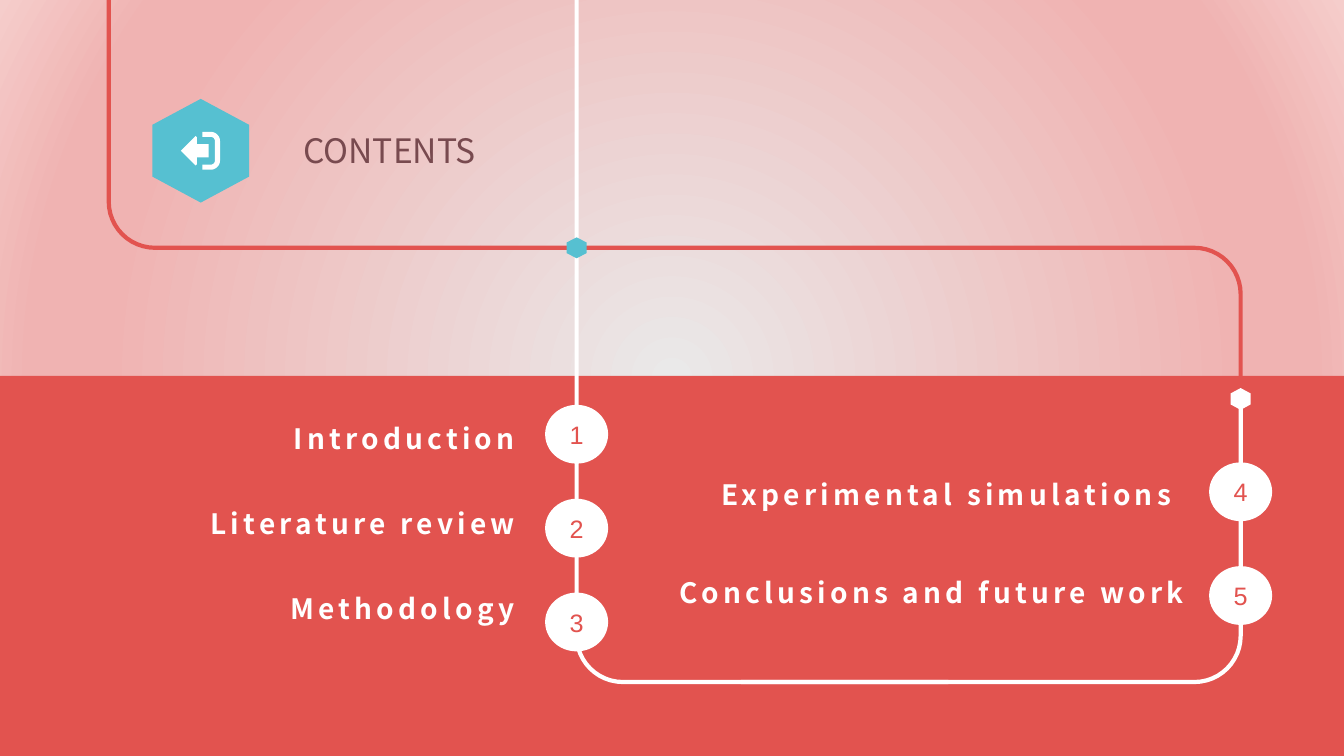
from math import cos, pi, sin

from pptx import Presentation
from pptx.dml.color import RGBColor
from pptx.enum.shapes import MSO_SHAPE
from pptx.enum.text import MSO_ANCHOR, MSO_AUTO_SIZE, PP_ALIGN
from pptx.oxml import parse_xml
from pptx.oxml.ns import nsdecls, qn
from pptx.util import Inches, Pt

COLUMNS, ROWS = 32, 18
CELL = Inches(7.5) // ROWS
RED = RGBColor(0xE2, 0x53, 0x4F)
WHITE = RGBColor(0xFF, 0xFF, 0xFF)
TEAL = RGBColor(0x56, 0xC0, 0xD1)
BROWN = RGBColor(0x78, 0x4A, 0x4F)
GLOW = [(0, RGBColor(0xEA, 0xE9, 0xE9)), (74, RGBColor(0xF0, 0xB3, 0xB2)),
        (83, RGBColor(0xF0, 0xB3, 0xB2)), (100, RGBColor(0xF5, 0xCD, 0xCB))]
TEXT_FONT, NUMBER_FONT = "Noto Sans CJK SC", "Arial"
TOPIC_LINE = 29  # points taken by one line of a topic


def cells(count):
    return round(count * CELL)


def elbow(start, corner, end, radius=1.1, width=0.1):
    """Outline of a band that runs start - corner - end with a rounded bend."""
    def toward(point):
        steps = [b - a for a, b in zip(corner, point)]
        length = abs(steps[0]) + abs(steps[1])
        return [step / length for step in steps]

    first, last = toward(start), toward(end)

    def edge(shift):
        reach = radius + shift
        yield tuple(s - shift * v for s, v in zip(start, last))
        for step in range(13):
            angle = step * pi / 24
            yield tuple(c + (radius - reach * sin(angle)) * u
                        + (radius - reach * cos(angle)) * v
                        for c, u, v in zip(corner, first, last))
        yield tuple(e - shift * u for e, u in zip(end, first))

    return [*edge(width / 2), *reversed(list(edge(-width / 2)))]


class SlideBuilder:
    """Draws on one slide; all lengths are cells of a 32 by 18 grid."""

    def __init__(self, page):
        self.page = page

    def background(self, stops):
        self.page.background.fill.solid()
        properties = self.page.element.find(".//" + qn("p:bgPr"))
        marks = "".join(f'<a:gs pos="{share * 1000}"><a:srgbClr val="{color}"/></a:gs>'
                        for share, color in stops)
        gradient = parse_xml(
            f'<a:gradFill {nsdecls("a")} rotWithShape="1"><a:gsLst>{marks}</a:gsLst>'
            '<a:path path="circle"><a:fillToRect l="50000" t="50000" r="50000" b="50000"/>'
            '</a:path></a:gradFill>')
        properties.replace(properties.find(qn("a:solidFill")), gradient)

    def paint(self, shape, color):
        shape.shadow.inherit = False
        shape.fill.solid()
        shape.fill.fore_color.rgb = color
        shape.line.fill.background()
        return shape

    def preset(self, kind, left, top, width, height, color):
        shape = self.page.shapes.add_shape(
            kind, cells(left), cells(top), cells(width), cells(height))
        return self.paint(shape, color)

    def polygon(self, color, *outlines):
        contours = [[(cells(x), cells(y)) for x, y in outline] for outline in outlines]
        builder = self.page.shapes.build_freeform(*contours[0][0])
        for index, contour in enumerate(contours):
            if index:
                builder.move_to(*contour[0])
            builder.add_line_segments(contour[1:], close=True)
        return self.paint(builder.convert_to_shape(), color)

    def hexagon(self, x, y, width, height, color):
        w, h = width / 2, height / 2
        return self.polygon(color, [(x, y - h), (x - w, y - h / 2), (x - w, y + h / 2),
                                    (x, y + h), (x + w, y + h / 2), (x + w, y - h / 2)])

    def frame(self, shape):
        frame = shape.text_frame
        frame.word_wrap = True
        frame.auto_size = MSO_AUTO_SIZE.NONE
        frame.vertical_anchor = MSO_ANCHOR.MIDDLE
        frame.margin_left = frame.margin_right = frame.margin_top = frame.margin_bottom = 0
        return frame

    def add_text(self, para, text, font, size, color, align, bold=False):
        para.alignment = align
        span = para.add_run()
        span.text = text
        span.font.name, span.font.size, span.font.bold = font, Pt(size), bold
        span.font.color.rgb = color
        return span

    def marker(self, number, x, y):
        circle = self.preset(MSO_SHAPE.OVAL, x - 0.75, y - 0.7, 1.5, 1.4, WHITE)
        para = self.frame(circle).paragraphs[0]
        self.add_text(para, str(number), NUMBER_FONT, 18, RED, PP_ALIGN.CENTER)

    def placeholder(self, index, left, top, width, height):
        """Moves a template placeholder into place, in front of the shapes."""
        box = self.page.placeholders[index]
        box.left, box.top, box.width, box.height = map(cells, (left, top, width, height))
        box.element.getparent().append(box.element)
        return self.frame(box)

    def title(self, text, *place):
        para = self.placeholder(0, *place).paragraphs[0]
        self.add_text(para, text, TEXT_FONT, 24, BROWN, PP_ALIGN.CENTER)

    def topics(self, index, items, right, middle, width, pitch):
        """Fills a right-aligned list; each item is (text, right indent)."""
        height = pitch * len(items)
        frame = self.placeholder(index, right - width, middle - height / 2, width, height)
        for row, (text, indent) in enumerate(items):
            para = frame.add_paragraph() if row else frame.paragraphs[0]
            properties = para._p.get_or_add_pPr()
            for name, value in (("marL", 0), ("marR", cells(indent)), ("indent", 0)):
                properties.set(name, str(value))
            properties.append(parse_xml(f'<a:buNone {nsdecls("a")}/>'))
            para.space_before = Pt(pitch * CELL / Pt(1) - TOPIC_LINE if row else 0)
            span = self.add_text(para, text, TEXT_FONT, 20, WHITE, PP_ALIGN.RIGHT, True)
            span._r.get_or_add_rPr().set("spc", "300")


def main():
    deck = Presentation()
    deck.slide_width, deck.slide_height = COLUMNS * CELL, ROWS * CELL
    page = deck.slides.add_slide(deck.slide_layouts[3])
    slide = SlideBuilder(page)
    slide.background(GLOW)
    slide.preset(MSO_SHAPE.RECTANGLE, 0, 8.95, COLUMNS, ROWS - 8.95, RED)

    outer, center, right = 2.59, 13.73, 29.54
    upper, border, lower = 5.9, 9.5, 16.24
    slide.polygon(RED, elbow((right, border), (right, upper), (11.45, upper)))
    slide.polygon(WHITE, elbow((right, border), (right, lower), (17.64, lower)))
    slide.polygon(RED, elbow((outer, 0), (outer, upper), (11.45, upper)))
    slide.polygon(WHITE, elbow((center, 0), (center, lower), (22.58, lower)))
    slide.hexagon(center, upper, 0.48, 0.5, TEAL)
    slide.hexagon(right, border, 0.48, 0.52, WHITE)

    badge_y = 3.59
    badge = slide.hexagon(4.78, badge_y, 2.3, 2.47, TEAL)
    door = [elbow((4.82, y), (5.18, y), (5.18, badge_y), 0.16, 0.12) for y in (3.2, 3.98)]
    half = [(4.66, 0.35), (4.69, 0.32), (4.69, 0.16), (4.97, 0.16)]
    arrow = ([(4.31, badge_y)] + [(x, badge_y + rise) for x, rise in half]
             + [(x, badge_y - rise) for x, rise in reversed(half)])
    icon = slide.polygon(WHITE, *door, arrow)
    page.shapes.add_group_shape([badge, icon])

    for row in range(3):
        slide.marker(row + 1, center, 10.34 + 2.235 * row)
    for row in range(2):
        slide.marker(row + 4, right, 11.71 + 2.47 * row)

    slide.title("CONTENTS", 6.65, 2.98, 5.25, 1.2)
    slide.topics(1, [("Introduction", 0), ("Literature review", 0), ("Methodology", 0)],
                 12.26, 12.45, 11, 2.19)
    slide.topics(2, [("Experimental simulations", 0.31), ("Conclusions and future work", 0)],
                 28.2, 12.93, 13, 2.5)
    deck.save("out.pptx")


if __name__ == "__main__":
    main()
